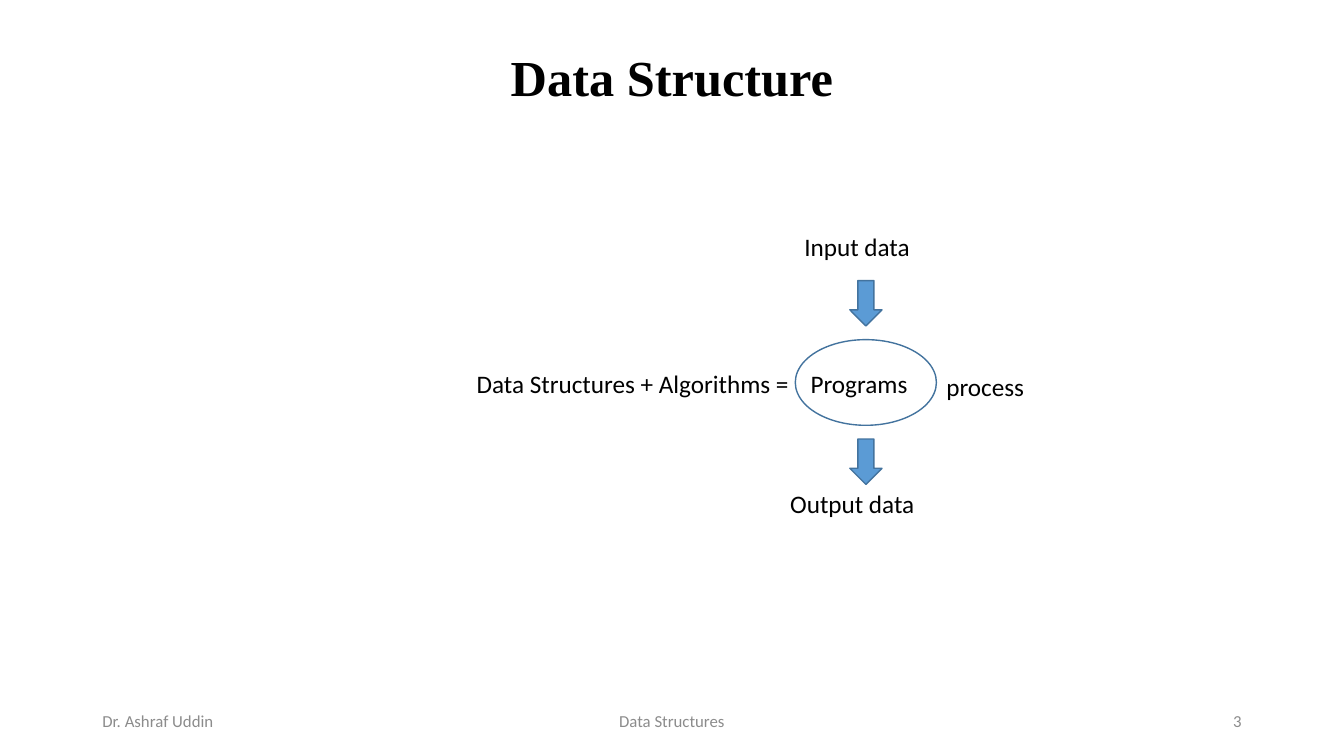
from lxml.etree import SubElement
from pptx import Presentation
from pptx.dml.color import RGBColor
from pptx.enum.shapes import MSO_SHAPE
from pptx.enum.text import MSO_ANCHOR, PP_ALIGN
from pptx.oxml.ns import qn
from pptx.util import Pt

BLACK = RGBColor(0x00, 0x00, 0x00)
GRAY = RGBColor(0x8C, 0x8C, 0x8C)
BLUE = RGBColor(0x5B, 0x9B, 0xD5)
DARK_BLUE = RGBColor(0x43, 0x73, 0x9E)

TITLE = {"name": "Times New Roman", "size": Pt(36), "bold": True}
BODY = {"name": "Calibri", "size": Pt(18)}
FOOTER = {"name": "Calibri", "size": Pt(12)}


class SlideBuilder:
    def __init__(self, page, outline, fill):
        self.page = page
        self.outline = outline
        self.fill = fill

    def text(self, words, left, top, width, height=28.8, style=BODY, color=BLACK,
             align=PP_ALIGN.LEFT, anchor=MSO_ANCHOR.TOP, wrap=True):
        box = self.page.shapes.add_textbox(Pt(left), Pt(top), Pt(width), Pt(height))
        frame = box.text_frame
        frame.word_wrap = wrap
        frame.vertical_anchor = anchor
        para = frame.paragraphs[0]
        para.alignment = align
        span = para.add_run()
        span.text = words
        for key, value in style.items():
            setattr(span.font, key, value)
        span.font.color.rgb = color
        return para

    def tab_stop(self, para, position):
        stops = SubElement(para._p.get_or_add_pPr(), qn("a:tabLst"))
        SubElement(stops, qn("a:tab"), pos=str(Pt(position)), algn="l")

    def shape(self, kind, left, top, width, height, filled=True):
        shape = self.page.shapes.add_shape(kind, Pt(left), Pt(top), Pt(width), Pt(height))
        shape.shadow.inherit = False
        if filled:
            shape.fill.solid()
            shape.fill.fore_color.rgb = self.fill
        else:
            shape.fill.background()
        shape.line.color.rgb = self.outline
        shape.line.width = Pt(1)


def main():
    deck = Presentation()
    deck.slide_width, deck.slide_height = Pt(960), Pt(540)
    page = deck.slides.add_slide(deck.slide_layouts[6])
    builder = SlideBuilder(page, DARK_BLUE, BLUE)

    title = builder.text("Data Structure", 120, 33.8, 720, 46.8, TITLE,
                         align=PP_ALIGN.CENTER, anchor=MSO_ANCHOR.BOTTOM)
    title.line_spacing = 0.9

    program_left, program_top, program_width, program_height = 568.1, 242.6, 100.8, 61.2
    builder.shape(MSO_SHAPE.OVAL, program_left, program_top,
                  program_width, program_height, filled=False)

    arrow_width, arrow_height, gap = 23, 32.4, 9.8
    arrow_left = program_left + (program_width - arrow_width) / 2
    for arrow_top in (program_top - gap - arrow_height,
                      program_top + program_height + gap):
        builder.shape(MSO_SHAPE.DOWN_ARROW, arrow_left, arrow_top, arrow_width, arrow_height)

    builder.text("Input data", 567.4, 162, 113.8)
    builder.text("process", 668.9, 261.4, 82, wrap=False)
    builder.text("Output data", 557.3, 345.6, 128.2)
    formula = builder.text("Data Structures + Algorithms =\tPrograms", 333.4, 259.9, 326)
    builder.tab_stop(formula, 238.5)

    for words, left, width, align in (
        ("Dr. Ashraf Uddin", 66, 216, PP_ALIGN.LEFT),
        ("Data Structures", 318, 324, PP_ALIGN.CENTER),
        ("3", 678, 216, PP_ALIGN.RIGHT),
    ):
        builder.text(words, left, 500.5, width, style=FOOTER, color=GRAY,
                     align=align, anchor=MSO_ANCHOR.MIDDLE)

    deck.save("out.pptx")


if __name__ == "__main__":
    main()
